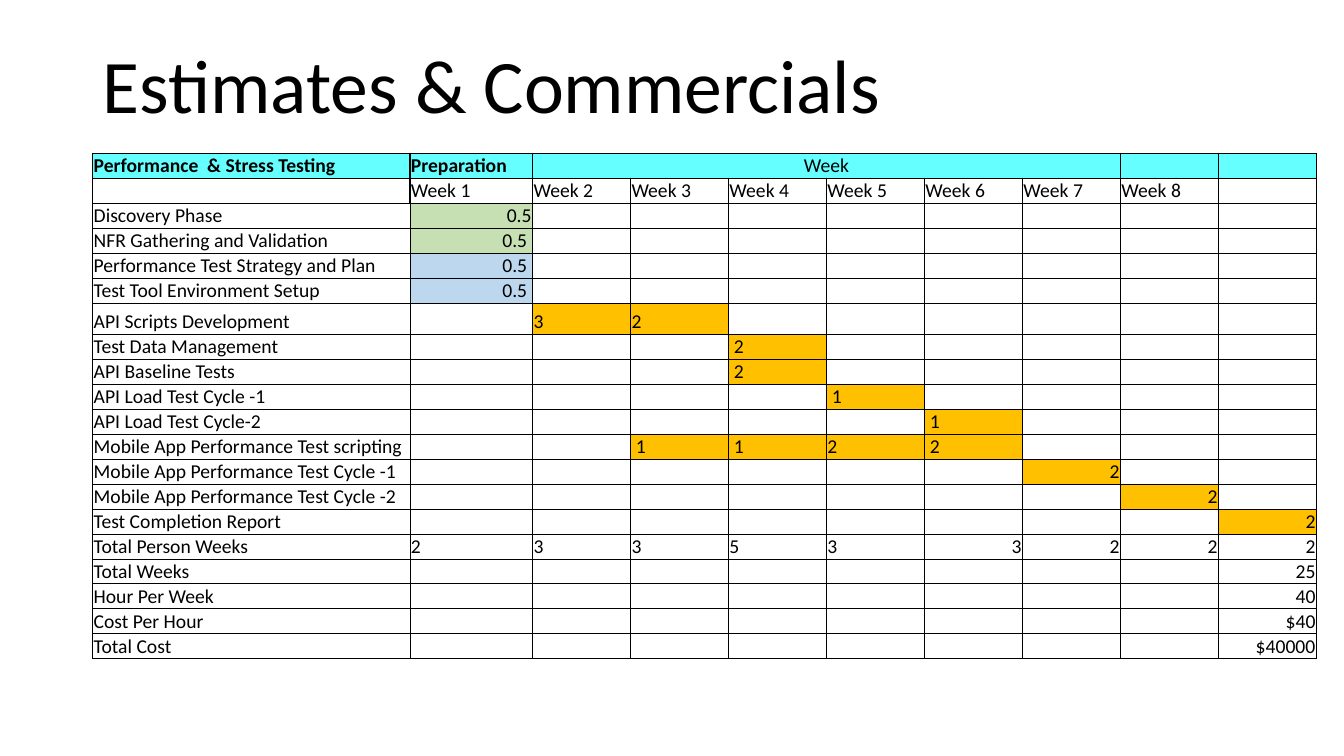
from dataclasses import dataclass, field

from lxml.etree import SubElement
from pptx import Presentation
from pptx.dml.color import RGBColor
from pptx.enum.text import MSO_ANCHOR as Anchor, MSO_AUTO_SIZE as AutoSize, PP_ALIGN as Align
from pptx.oxml.ns import qn
from pptx.slide import Slide
from pptx.table import Table, _Cell as Cell
from pptx.text.text import _Paragraph as Paragraph
from pptx.util import Pt


@dataclass(frozen=True)
class Theme:
    font: str = "Calibri"
    title_size: float = 54
    table_size: float = 14
    ink: str = "000000"
    header: str = "66FFFF"
    discovery: str = "C6E0B4"
    planning: str = "BDD7EE"
    effort: str = "FFC000"
    thin_line: float = 0.5
    thick_line: float = 1


THEME = Theme()


@dataclass(frozen=True)
class Entry:
    text: str = ""
    fill: str | None = None
    align: Align = Align.LEFT
    bold: bool = False


@dataclass(frozen=True)
class Row:
    label: Entry
    entries: dict[int, Entry] = field(default_factory=dict)
    height: float = 17.85


def right(text: str, fill: str | None = None) -> Entry:
    return Entry(text, fill, Align.RIGHT)


def effort(text: str, align: Align = Align.LEFT) -> Entry:
    return Entry(text, THEME.effort, align)


LAST = 9
COLUMN_WIDTHS = [226.6, 87.6] + [70] * 8
WEEK_SPAN = (2, 7)
HEADER_ENTRIES = {column: Entry(fill=THEME.header) for column in range(2, LAST + 1)} | {
    1: Entry("Preparation", THEME.header, bold=True),
    2: Entry("Week", THEME.header, Align.CENTER),
}
WEEK_TOTALS = {column: Entry(total) for column, total in enumerate("23353", 1)} | {
    column: right(total) for column, total in enumerate("3222", 6)
}
ROWS = [
    Row(Entry("Performance  & Stress Testing", THEME.header, bold=True), HEADER_ENTRIES),
    Row(Entry(), {week: Entry(f"Week {week}") for week in range(1, 9)}),
    Row(Entry("Discovery Phase"), {1: right("0.5", THEME.discovery)}),
    Row(Entry("NFR Gathering and Validation"), {1: right("0.5 ", THEME.discovery)}),
    Row(Entry("Performance Test Strategy and Plan"), {1: right("0.5 ", THEME.planning)}),
    Row(Entry("Test Tool Environment Setup"), {1: right("0.5 ", THEME.planning)}),
    Row(Entry("API Scripts Development"), {2: effort("3"), 3: effort("2")}, 22.3),
    Row(Entry("Test Data Management"), {4: effort(" 2")}),
    Row(Entry("API Baseline Tests"), {4: effort(" 2")}),
    Row(Entry("API Load Test Cycle -1"), {5: effort(" 1")}),
    Row(Entry("API Load Test Cycle-2"), {6: effort(" 1")}),
    Row(
        Entry("Mobile App Performance Test scripting"),
        {3: effort(" 1"), 4: effort(" 1"), 5: effort("2 "), 6: effort(" 2")},
    ),
    Row(Entry("Mobile App Performance Test Cycle -1"), {7: effort("2", Align.RIGHT)}),
    Row(Entry("Mobile App Performance Test Cycle -2"), {8: effort("2", Align.RIGHT)}),
    Row(Entry("Test Completion Report"), {LAST: effort("2", Align.RIGHT)}),
    Row(Entry("Total Person Weeks"), WEEK_TOTALS),
    Row(Entry("Total Weeks"), {LAST: right("25")}),
    Row(Entry("Hour Per Week"), {LAST: right("40")}),
    Row(Entry("Cost Per Hour"), {LAST: right("$40")}),
    Row(Entry("Total Cost"), {LAST: right("$40000")}),
]


def set_values(target: object, values: dict[str, object]) -> None:
    for name, value in values.items():
        setattr(target, name, value)


def write_text(paragraph: Paragraph, text: str, size: float, bold: bool = False) -> None:
    run = paragraph.add_run()
    run.text = text
    set_values(run.font, {"name": THEME.font, "size": Pt(size), "bold": bold})
    run.font.color.rgb = RGBColor.from_string(THEME.ink)


def draw_borders(cell: Cell, row: int, column: int) -> None:
    thick_sides = {
        "lnL": row < 2 and column < 2,
        "lnR": row < 2 and column == 0,
        "lnT": row < 2,
        "lnB": row == 0,
    }
    properties = cell._tc.get_or_add_tcPr()
    for side, thick in thick_sides.items():
        width = Pt(THEME.thick_line if thick else THEME.thin_line)
        line = SubElement(properties, qn(f"a:{side}"), w=str(width))
        SubElement(SubElement(line, qn("a:solidFill")), qn("a:srgbClr"), val=THEME.ink)


def draw_cell(cell: Cell, entry: Entry, row: int, column: int) -> None:
    set_values(cell, {
        "margin_left": Pt(0.7),
        "margin_right": Pt(0.7),
        "margin_top": Pt(0.7),
        "margin_bottom": Pt(0),
        "vertical_anchor": Anchor.BOTTOM,
    })
    draw_borders(cell, row, column)
    if entry.fill:
        cell.fill.solid()
        cell.fill.fore_color.rgb = RGBColor.from_string(entry.fill)
    else:
        cell.fill.background()
    paragraph = cell.text_frame.paragraphs[0]
    paragraph.alignment = entry.align
    if entry.text:
        write_text(paragraph, entry.text, THEME.table_size, entry.bold)
    else:
        end_format = SubElement(paragraph._p, qn("a:endParaRPr"))
        end_format.set("sz", str(int(THEME.table_size * 100)))


def draw_title(slide: Slide, text: str) -> None:
    title = slide.shapes.title
    set_values(title, {"left": Pt(66.24), "top": Pt(23), "width": Pt(828), "height": Pt(73.4)})
    set_values(title.text_frame, {
        "vertical_anchor": Anchor.BOTTOM,
        "auto_size": AutoSize.NONE,
        "word_wrap": True,
    })
    paragraph = title.text_frame.paragraphs[0]
    set_values(paragraph, {"alignment": Align.LEFT, "line_spacing": 0.9})
    write_text(paragraph, text, THEME.title_size)


def draw_estimates(slide: Slide) -> None:
    height = sum(row.height for row in ROWS)
    frame = slide.shapes.add_table(
        len(ROWS), len(COLUMN_WIDTHS), Pt(66.24), Pt(109.44), Pt(sum(COLUMN_WIDTHS)), Pt(height)
    )
    table: Table = frame.table
    set_values(table, {"first_row": False, "horz_banding": False})
    for column, width in enumerate(COLUMN_WIDTHS):
        table.columns[column].width = Pt(width)
    for row_index, row in enumerate(ROWS):
        table.rows[row_index].height = Pt(row.height)
        entries = {0: row.label} | row.entries
        for column in range(len(COLUMN_WIDTHS)):
            draw_cell(table.cell(row_index, column), entries.get(column, Entry()), row_index, column)
    first_week, last_week = WEEK_SPAN
    table.cell(0, first_week).merge(table.cell(0, last_week))


def main() -> None:
    presentation = Presentation()
    set_values(presentation, {"slide_width": Pt(960), "slide_height": Pt(540)})
    slide = presentation.slides.add_slide(presentation.slide_layouts[5])
    draw_title(slide, "Estimates & Commercials")
    draw_estimates(slide)
    presentation.save("out.pptx")


if __name__ == "__main__":
    main()
